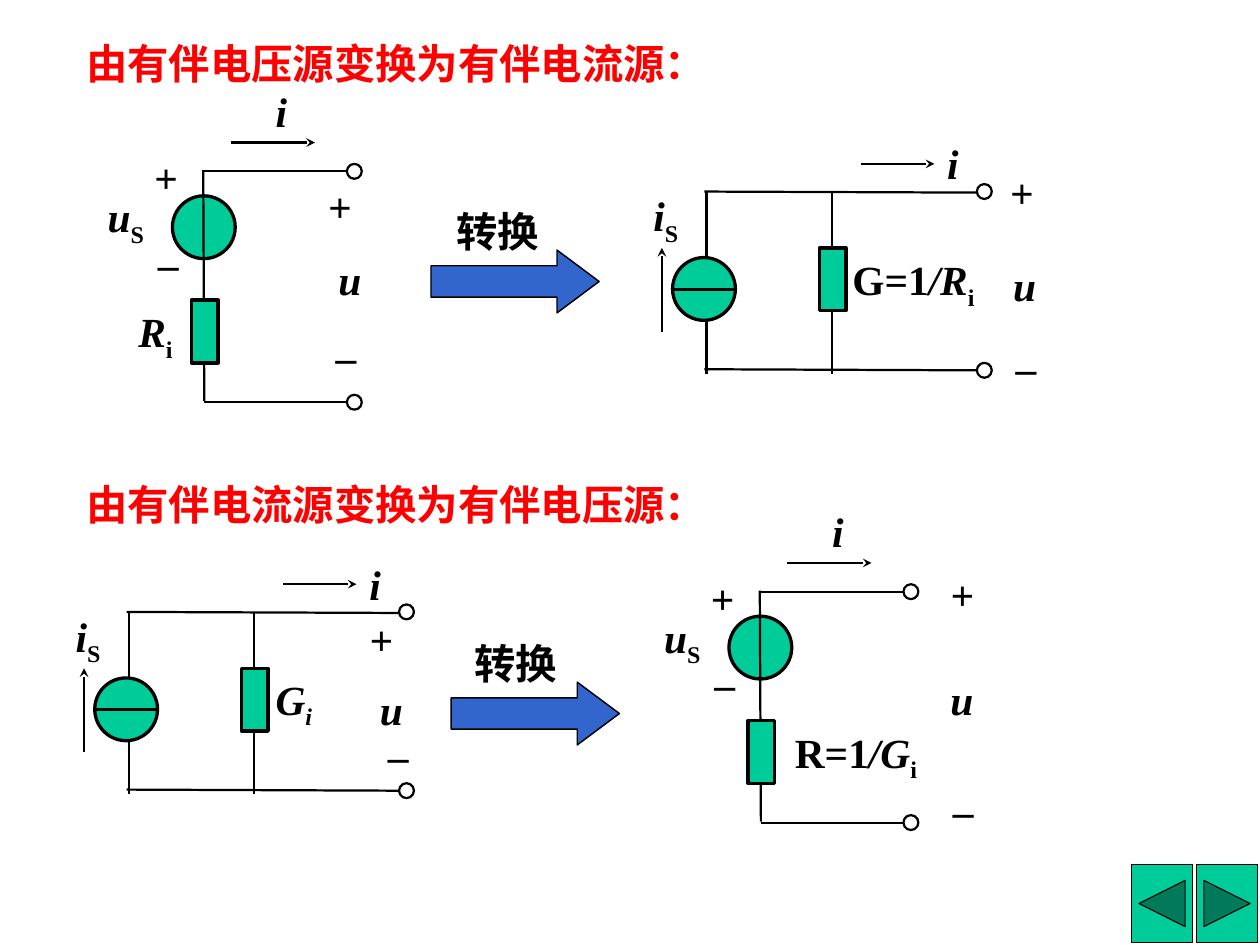
from dataclasses import dataclass

from lxml.etree import SubElement
from pptx import Presentation
from pptx.dml.color import RGBColor
from pptx.enum.shapes import MSO_CONNECTOR, MSO_SHAPE
from pptx.enum.text import MSO_ANCHOR, MSO_AUTO_SIZE, PP_ALIGN
from pptx.oxml.ns import qn
from pptx.util import Pt

PX = 9144
BLACK = RGBColor(0x00, 0x00, 0x00)
RED = RGBColor(0xFF, 0x00, 0x00)
GREEN = RGBColor(0x00, 0xCC, 0x99)
BLUE = RGBColor(0x33, 0x66, 0xCC)
FONT_NAME = "Times New Roman"
LABEL_HEIGHT = 59
SOURCE_SIZE = 59
TERMINAL_SIZE = 14
RESISTOR_WIDTH, RESISTOR_HEIGHT = 25, 59
WIRE_WIDTH, BODY_WIDTH = 1.5, 2.25


@dataclass(frozen=True)
class Piece:
    text: str
    italic: bool = False
    subscript: bool = False


@dataclass(frozen=True)
class Label:
    left: int
    top: int
    width: int
    pieces: tuple[Piece, ...]
    color: RGBColor = BLACK
    centered: bool = False
    wrap: bool = True


@dataclass(frozen=True)
class Wire:
    x1: int
    y1: int
    x2: int
    y2: int
    width: float = WIRE_WIDTH
    arrow: bool = False


@dataclass(frozen=True)
class Block:
    preset: MSO_SHAPE
    left: int
    top: int
    width: int
    height: int
    fill: RGBColor | None = GREEN
    line_width: float = BODY_WIDTH


@dataclass(frozen=True)
class Circuit:
    left: int
    top: int
    elements: tuple[Label | Wire | Block, ...]


def italic(text: str) -> Piece:
    return Piece(text, italic=True)


def subscript(text: str, slanted: bool = False) -> Piece:
    return Piece(text, slanted, subscript=True)


def fill_label(shape, label: Label, left: int = 0, top: int = 0) -> None:
    shape.left, shape.top = (left + label.left) * PX, (top + label.top) * PX
    shape.width, shape.height = label.width * PX, LABEL_HEIGHT * PX
    frame = shape.text_frame
    frame.word_wrap = label.wrap
    frame.auto_size = MSO_AUTO_SIZE.SHAPE_TO_FIT_TEXT
    frame.vertical_anchor = MSO_ANCHOR.MIDDLE if label.centered else MSO_ANCHOR.TOP
    frame.margin_left = frame.margin_right = 12 * PX
    frame.margin_top = frame.margin_bottom = 6 * PX
    paragraph = frame.paragraphs[0]
    paragraph.alignment = PP_ALIGN.CENTER if label.centered else PP_ALIGN.LEFT
    paragraph.space_before = Pt(0)
    for piece in label.pieces:
        run = paragraph.add_run()
        run.text = piece.text
        run.font.name = FONT_NAME
        run.font.size = Pt(28)
        run.font.bold = True
        run.font.italic = piece.italic
        run.font.color.rgb = label.color
        if piece.subscript:
            run.font._element.set("baseline", "-25000")


def draw_label(slide, label: Label, left: int = 0, top: int = 0) -> None:
    fill_label(slide.shapes.add_textbox(0, 0, PX, PX), label, left, top)


def draw_wire(slide, wire: Wire, left: int, top: int) -> None:
    connector = slide.shapes.add_connector(
        MSO_CONNECTOR.STRAIGHT,
        (left + wire.x1) * PX, (top + wire.y1) * PX,
        (left + wire.x2) * PX, (top + wire.y2) * PX,
    )
    connector.line.color.rgb = BLACK
    connector.line.width = Pt(wire.width)
    properties = connector._element.spPr
    if wire.arrow:
        SubElement(properties.find(qn("a:ln")), qn("a:tailEnd"), type="stealth")
    SubElement(properties, qn("a:effectLst"))


def draw_block(slide, block: Block, left: int = 0, top: int = 0):
    shape = slide.shapes.add_shape(
        block.preset, (left + block.left) * PX, (top + block.top) * PX,
        block.width * PX, block.height * PX,
    )
    shape.shadow.inherit = False
    if block.fill is None:
        shape.fill.background()
    else:
        shape.fill.solid()
        shape.fill.fore_color.rgb = block.fill
    shape.line.color.rgb = BLACK
    shape.line.width = Pt(block.line_width)
    return shape


def draw_circuit(slide, circuit: Circuit) -> None:
    draw_element = {Label: draw_label, Wire: draw_wire, Block: draw_block}
    for element in circuit.elements:
        draw_element[type(element)](slide, element, circuit.left, circuit.top)


def draw_conversion(slide, left: int, top: int, caption_left: int) -> None:
    arrow = draw_block(slide, Block(MSO_SHAPE.RIGHT_ARROW, left, top, 158, 59, BLUE, 1))
    arrow.adjustments[1] = 0.67
    draw_label(slide, Label(caption_left, top - 47, 109, (Piece("转换"),)))


def resistor(left: int, top: int) -> Block:
    return Block(MSO_SHAPE.RECTANGLE, left, top, RESISTOR_WIDTH, RESISTOR_HEIGHT)


def terminal(left: int, top: int) -> Block:
    return Block(MSO_SHAPE.OVAL, left, top, TERMINAL_SIZE, TERMINAL_SIZE, None, WIRE_WIDTH)


def port_labels(plus: tuple[int, int], voltage: tuple[int, int],
                minus: tuple[int, int]) -> tuple[Label, ...]:
    marks = zip("+u_", (plus, voltage, minus))
    return tuple(Label(x, y, 59, (italic(mark),)) for mark, (x, y) in marks)


SOURCE = Block(MSO_SHAPE.OVAL, 0, 0, SOURCE_SIZE, SOURCE_SIZE)
VOLTAGE_SOURCE = (
    Label(85, -109, 49, (italic("i"),)),
    SOURCE,
    Label(-29, -47, 46, (Piece("+"),), centered=True, wrap=False),
    Label(-26, 20, 44, (Piece("_"),), centered=True),
    Label(-73, -10, 69, (italic("u"), subscript("S"))),
    Wire(29, -24, 30, 193),
    Wire(28, -23, 164, -23),
    Wire(30, 194, 164, 194),
    Wire(55, -50, 134, -50, arrow=True),
    resistor(18, 98),
    terminal(164, -30),
    terminal(164, 187),
)
CURRENT_SOURCE = (
    Wire(30, -62, 286, -61),
    Label(246, -118, 49, (italic("i"),)),
    Wire(30, 105, 286, 106),
    Wire(32, -62, 32, 109),
    SOURCE,
    Wire(0, 30, SOURCE_SIZE, 30, BODY_WIDTH),
    Wire(150, 109, 150, -62),
    resistor(138, -9),
    Label(-30, -69, 59, (italic("i"), subscript("S"))),
    Wire(177, -88, 246, -88, arrow=True),
    Wire(-10, 70, -10, -9, arrow=True),
    terminal(286, -69),
    terminal(286, 99),
)
CIRCUITS = (
    Circuit(162, 184, VOLTAGE_SOURCE + port_labels((134, -20), (144, 49), (144, 108)) + (
        Label(-44, 98, 59, (italic("R"), subscript("i"))),)),
    Circuit(685, 579, VOLTAGE_SOURCE + port_labels((196, -50), (196, 48), (201, 140)) + (
        Label(50, 98, 170, (Piece("R=1"), italic("/G"), subscript("i"))),)),
    Circuit(632, 242, CURRENT_SOURCE + port_labels((305, -91), (308, -4), (313, 60)) + (
        Label(157, -9, 148, (Piece("G=1"), italic("/R"), subscript("i"))),)),
    Circuit(89, 637, CURRENT_SOURCE + port_labels((246, -66), (256, 0), (266, 30)) + (
        Label(158, -10, 69, (italic("G"), subscript("i", slanted=True))),)),
)


def main() -> None:
    presentation = Presentation()
    presentation.slide_width, presentation.slide_height = 1184 * PX, 888 * PX
    slide = presentation.slides.add_slide(presentation.slide_layouts[5])
    fill_label(slide.shapes.title,
               Label(69, 30, 666, (Piece("由有伴电压源变换为有伴电流源："),), RED))
    draw_label(slide, Label(69, 444, 701, (Piece("由有伴电流源变换为有伴电压源："),), RED))
    draw_conversion(slide, 405, 235, 417)
    draw_conversion(slide, 424, 641, 434)
    for circuit in CIRCUITS:
        draw_circuit(slide, circuit)
    buttons = (MSO_SHAPE.ACTION_BUTTON_BACK_OR_PREVIOUS, MSO_SHAPE.ACTION_BUTTON_FORWARD_OR_NEXT)
    for index, preset in enumerate(buttons):
        draw_block(slide, Block(preset, 1063 + 61 * index, 812, 58, 74, line_width=0.75))
    presentation.save("out.pptx")


if __name__ == "__main__":
    main()
